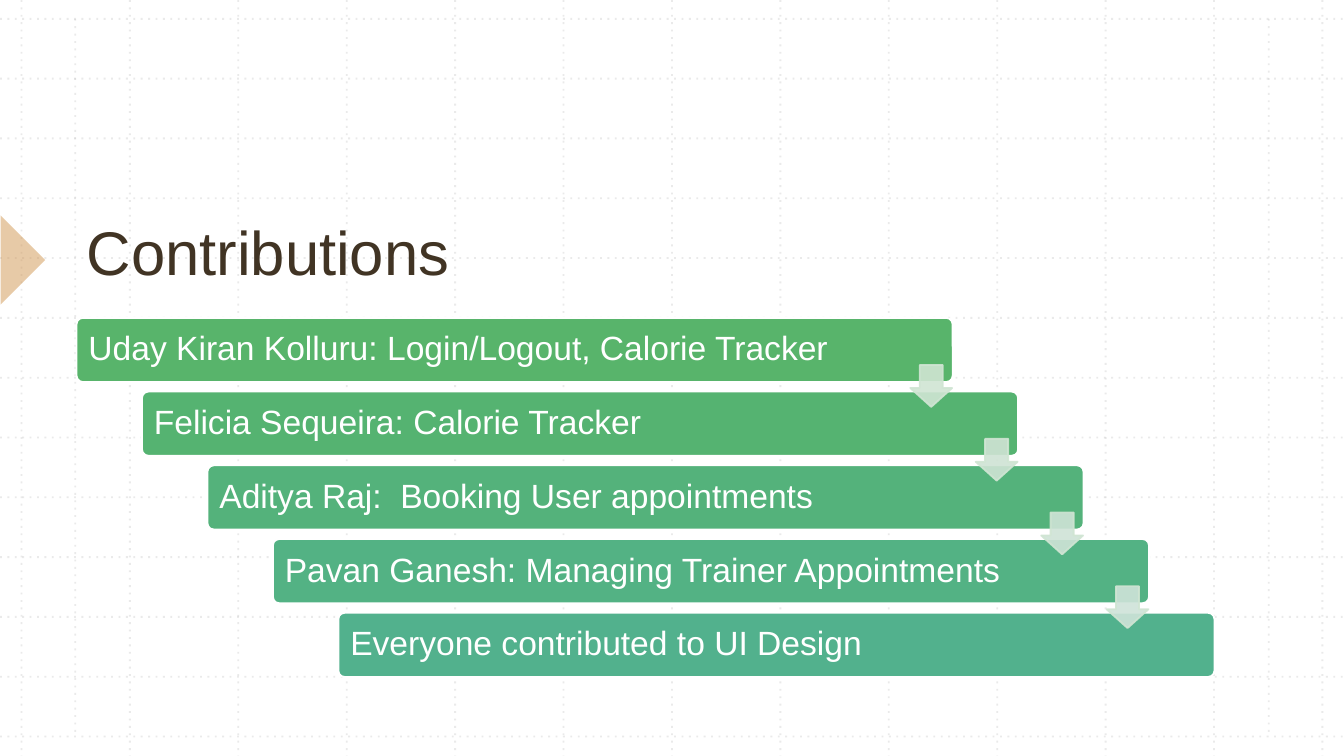
import dataclasses

import pptx
import pptx.dml.color
import pptx.enum.dml
import pptx.enum.shapes
import pptx.enum.text
import pptx.oxml.ns
import pptx.oxml.xmlchemy
import pptx.util

Pt = pptx.util.Pt
qn = pptx.oxml.ns.qn
SHAPES = pptx.enum.shapes.MSO_SHAPE
ANCHOR = pptx.enum.text.MSO_ANCHOR


@dataclasses.dataclass(frozen=True)
class Theme:
    font: str = "Arial"
    title_size: float = 33
    bar_size: float = 18
    title: str = "413424"
    white: str = "FFFFFF"
    grid: str = "BCBCBC"
    marker: str = "D19651"
    arrow_line: str = "D0E5D3"
    bars: tuple = ("58B46B", "55B371", "54B27B", "53B284", "52B18D")
    arrows: tuple = ("D0E5D3", "CFE3D4", "CFE3D7", "CFE3D9")


THEME = Theme()
WIDTH, HEIGHT = 720, 405
CONTRIBUTIONS = (
    "Uday Kiran Kolluru: Login/Logout, Calorie Tracker",
    "Felicia Sequeira: Calorie Tracker",
    "Aditya Raj:  Booking User appointments",
    "Pavan Ganesh: Managing Trainer Appointments",
    "Everyone contributed to UI Design",
)


def set_attributes(target, values):
    for name, value in values.items():
        setattr(target, name, value)


def set_color(fill, color, opacity=100):
    fill.solid()
    fill.fore_color.rgb = pptx.dml.color.RGBColor.from_string(color)
    if opacity < 100:
        element = fill._xPr.find(".//" + qn("a:srgbClr"))
        alpha = pptx.oxml.xmlchemy.OxmlElement("a:alpha")
        alpha.set("val", str(opacity * 1000))
        element.append(alpha)


def add_grid_line(slide, left, top, right, bottom):
    connector = slide.shapes.add_connector(
        pptx.enum.shapes.MSO_CONNECTOR.STRAIGHT, Pt(left), Pt(top), Pt(right), Pt(bottom)
    )
    connector.line.width = Pt(1)
    set_color(connector.line.fill, THEME.grid, 30)
    connector.line.dash_style = pptx.enum.dml.MSO_LINE.ROUND_DOT
    connector.element.find(".//" + qn("a:prstDash")).set("val", "dot")
    connector.element.spPr.append(pptx.oxml.xmlchemy.OxmlElement("a:effectLst"))


def add_grid(slide):
    first_x, first_y, step_x, step_y, count = 11.5, 10.1, 58.08, 32.04, 13
    last_y = first_y + step_y * (count - 1)
    for index in range(count):
        x, y = first_x + step_x * index, first_y + step_y * index
        add_grid_line(slide, x, 0, x, HEIGHT)
        add_grid_line(slide, 0, y, WIDTH, y)
    for x in (40.3, WIDTH - 40.3):
        add_grid_line(slide, x, first_y, x, last_y)


def add_shape(slide, kind, box, color, opacity=100, line=None, adjustments=()):
    shape = slide.shapes.add_shape(kind, *map(Pt, box))
    shape.shadow.inherit = False
    set_color(shape.fill, color, opacity)
    if line:
        shape.line.width = Pt(1)
        set_color(shape.line.fill, line, opacity)
    else:
        shape.line.fill.background()
    for index, value in enumerate(adjustments):
        shape.adjustments[index] = value
    return shape


def write_text(shape, text, size, color, frame, line_spacing):
    shape.text_frame.text = text
    set_attributes(shape.text_frame, {
        "word_wrap": True, "auto_size": pptx.enum.text.MSO_AUTO_SIZE.NONE, **frame,
    })
    paragraph = shape.text_frame.paragraphs[0]
    set_attributes(paragraph, {
        "alignment": pptx.enum.text.PP_ALIGN.LEFT,
        "line_spacing": line_spacing,
        "space_before": Pt(0),
    })
    font = paragraph.runs[0].font
    set_attributes(font, {"name": THEME.font, "size": Pt(size)})
    set_color(font.fill, color)


def add_title(slide, text):
    title = slide.shapes.title
    title.element.getparent().append(title.element)
    set_attributes(title, {
        "left": Pt(41), "top": Pt(43.2), "width": Pt(610), "height": Pt(113.8),
    })
    frame = {
        "vertical_anchor": ANCHOR.BOTTOM,
        "margin_left": Pt(5.4), "margin_right": Pt(5.4),
        "margin_top": Pt(2.7), "margin_bottom": Pt(2.7),
    }
    write_text(title, text, THEME.title_size, THEME.title, frame, 1.0)


def add_steps(slide):
    left, top, step_x, step_y = 41, 170.3, 35.06, 39.5
    frame = {
        "vertical_anchor": ANCHOR.MIDDLE,
        "margin_left": Pt(5.4), "margin_right": Pt(5.4),
        "margin_top": Pt(5), "margin_bottom": Pt(5),
    }
    for index, (text, color) in enumerate(zip(CONTRIBUTIONS, THEME.bars)):
        box = (left + step_x * index, top + step_y * index, 469.4, 34.4)
        bar = add_shape(slide, SHAPES.ROUNDED_RECTANGLE, box, color,
                        line=THEME.white, adjustments=(0.1,))
        write_text(bar, text, THEME.bar_size, THEME.white, frame, 0.9)
    for index, color in enumerate(THEME.arrows):
        box = (left + 446.7 + step_x * index, top + 25.3 + step_y * index, 22.4, 22.4)
        add_shape(slide, SHAPES.DOWN_ARROW, box, color, 90,
                  THEME.arrow_line, (0.55, 0.45))


def main():
    presentation = pptx.Presentation()
    set_attributes(presentation, {"slide_width": Pt(WIDTH), "slide_height": Pt(HEIGHT)})
    slide = presentation.slides.add_slide(presentation.slide_layouts[5])
    add_grid(slide)
    marker = add_shape(slide, SHAPES.RIGHT_TRIANGLE, (-16.6, 122.4, 33.8, 33.8),
                       THEME.marker, 50)
    marker.rotation = 225
    add_title(slide, "Contributions")
    add_steps(slide)
    presentation.save("out.pptx")


if __name__ == "__main__":
    main()
